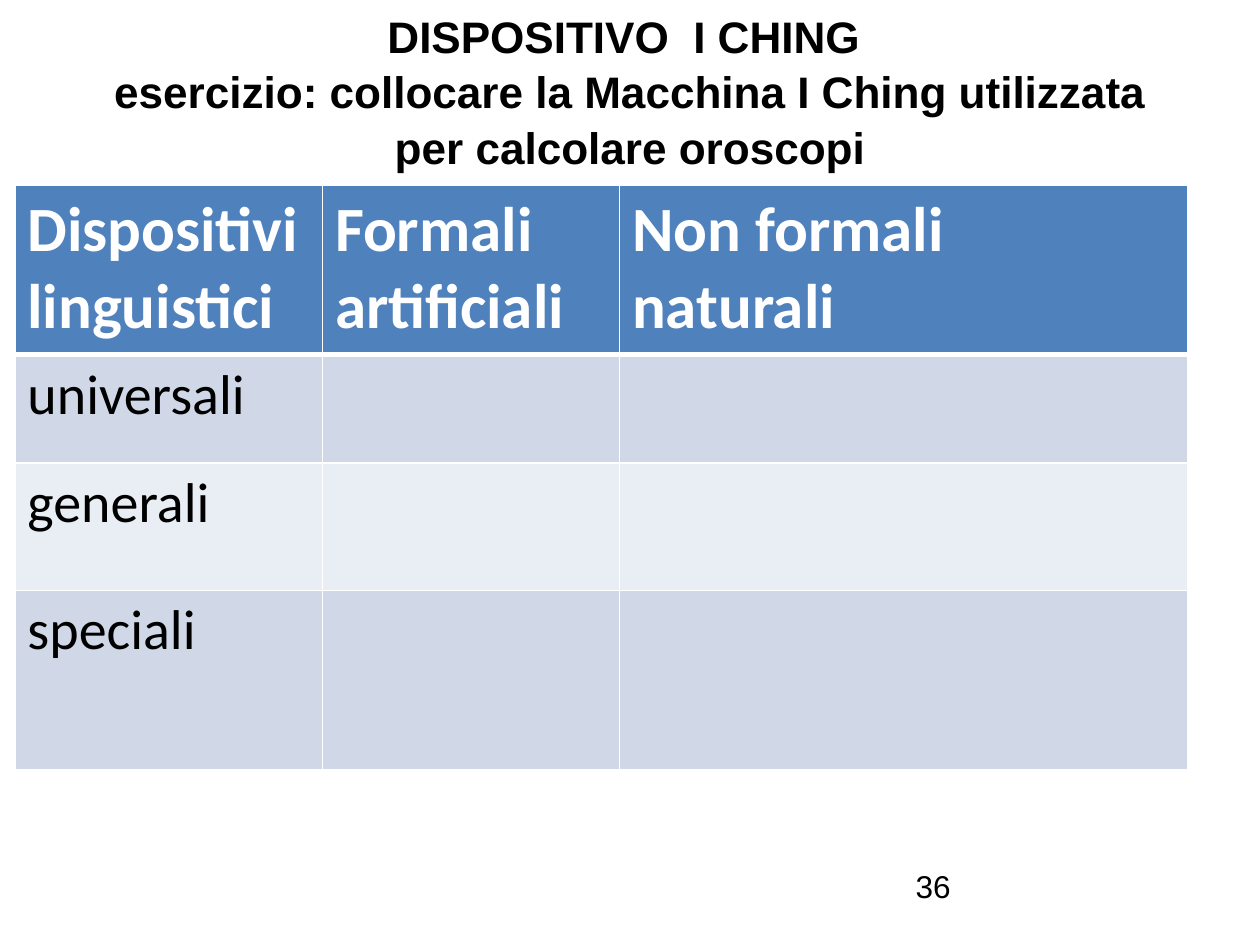
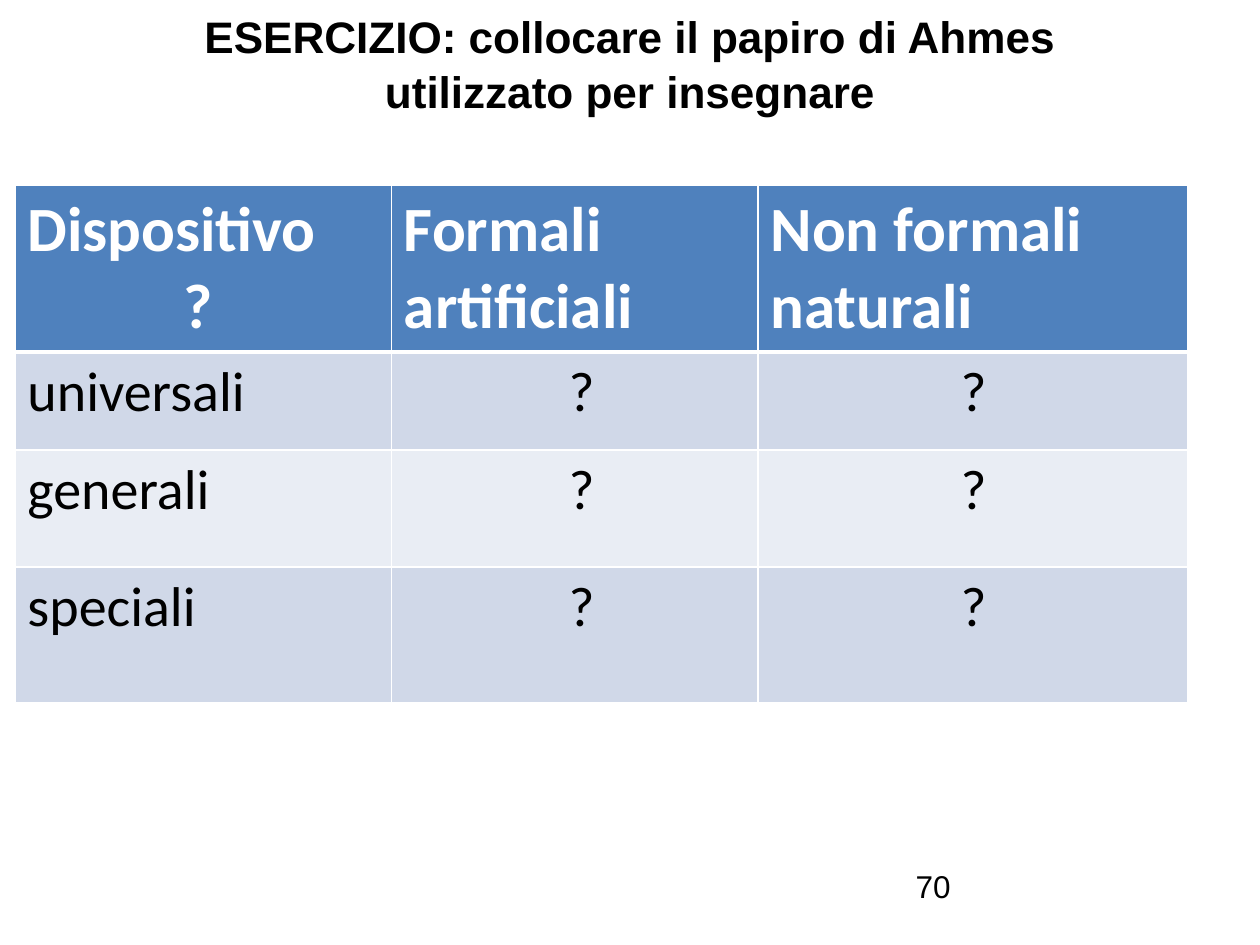
from lxml import etree
from pptx import Presentation
from pptx.dml.color import RGBColor
from pptx.enum import text
from pptx.oxml.ns import qn
from pptx.util import Cm, Pt

COLORS = {
    "text": "000000",
    "header": "4F81BD",
    "band_dark": "D0D8E8",
    "band_light": "E9EDF4",
    "white": "FFFFFF",
}
TITLE_ONLY = 5
LEVELS = ("universali", "generali", "speciali")
KINDS = ("Formali\nartificiali", "Non formali\nnaturali")
QUESTION_INDENTS = (3.15, 3.32, 3.83)  # cm, one per column


def rgb(name):
    return RGBColor.from_string(COLORS[name])


def style_text(tf, font, size, color="text", bold=False):
    for p in tf.paragraphs:
        for r in p.runs:
            r.font.name = font
            r.font.size = Pt(size)
            r.font.bold = bold
            r.font.color.rgb = rgb(color)


def set_title(s, title):
    sp = s.shapes.title
    sp.left, sp.top, sp.width, sp.height = Cm(1.27), Cm(0), Cm(22.86), Cm(2.13)
    tf = sp.text_frame
    tf.text = title
    tf.auto_size = text.MSO_AUTO_SIZE.NONE
    tf.vertical_anchor = text.MSO_ANCHOR.TOP
    p = tf.paragraphs[0]
    p.alignment = text.PP_ALIGN.CENTER
    p.line_spacing = 1.05
    style_text(tf, "Arial", 25.2, bold=True)


def add_page_number(s, number):
    sp = s.shapes.add_textbox(Cm(18.21), Cm(17.35), Cm(5.92), Cm(1.32))
    tf = sp.text_frame
    tf.word_wrap = True
    tf.text = str(number)
    style_text(tf, "Arial", 18)


def set_borders(cell, top, bottom):
    """Draw white cell borders; top and bottom widths are in points."""
    tc_pr = cell._tc.get_or_add_tcPr()
    for side, width in (("L", 1), ("R", 1), ("T", top), ("B", bottom)):
        ln = etree.SubElement(tc_pr, qn(f"a:ln{side}"), w=str(Pt(width)))
        fill = etree.SubElement(ln, qn("a:solidFill"))
        etree.SubElement(fill, qn("a:srgbClr"), val=COLORS["white"])


def format_cell(cell, row, col, content):
    set_borders(cell, top=3 if row == 1 else 1, bottom=3 if row == 0 else 1)
    if row == 0:
        fill, size, color = "header", 36, "white"
    else:
        fill, size, color = ("band_dark" if row % 2 else "band_light"), 32, "text"
    cell.fill.solid()
    cell.fill.fore_color.rgb = rgb(fill)
    tf = cell.text_frame
    tf.text = content
    for p in tf.paragraphs:
        if p.text == "?":
            p._p.get_or_add_pPr().set("marL", str(Cm(QUESTION_INDENTS[col])))
    style_text(tf, "Calibri", size, color, bold=row == 0)


def add_device_table(s, corner, answer, widths, heights):
    """Add the grid of language devices, with answer in every body cell."""
    rows = [(corner, *KINDS)] + [(level, answer, answer) for level in LEVELS]
    frame = s.shapes.add_table(len(rows), len(widths), Cm(0.3), Cm(3.73),
                               Cm(sum(widths)), Cm(sum(heights)))
    table = frame.table
    for column, width in zip(table.columns, widths):
        column.width = Cm(width)
    for table_row, height in zip(table.rows, heights):
        table_row.height = Cm(height)
    for i, row in enumerate(rows):
        for j, content in enumerate(row):
            format_cell(table.cell(i, j), i, j, content)


def add_exercise(prs, title, number, corner, answer, widths, heights):
    s = prs.slides.add_slide(prs.slide_layouts[TITLE_ONLY])
    set_title(s, title)
    add_device_table(s, corner, answer, widths, heights)
    add_page_number(s, number)


def main():
    prs = Presentation()
    prs.slide_width, prs.slide_height = Cm(25.4), Cm(19.05)
    add_exercise(
        prs,
        "DISPOSITIVO  I CHING \vesercizio: collocare la Macchina I Ching "
        "utilizzata per calcolare oroscopi",
        36, "Dispositivi linguistici", "",
        widths=(6.2, 5.99, 11.46), heights=(3.42, 2.18, 2.57, 3.61))
    add_exercise(
        prs,
        "ESERCIZIO: collocare il papiro di Ahmes\vutilizzato per insegnare",
        70, "Dispositivo\n?", "?",
        widths=(7.59, 7.39, 8.66), heights=(3.35, 1.98, 2.36, 2.74))
    prs.save("out.pptx")


if __name__ == "__main__":
    main()
